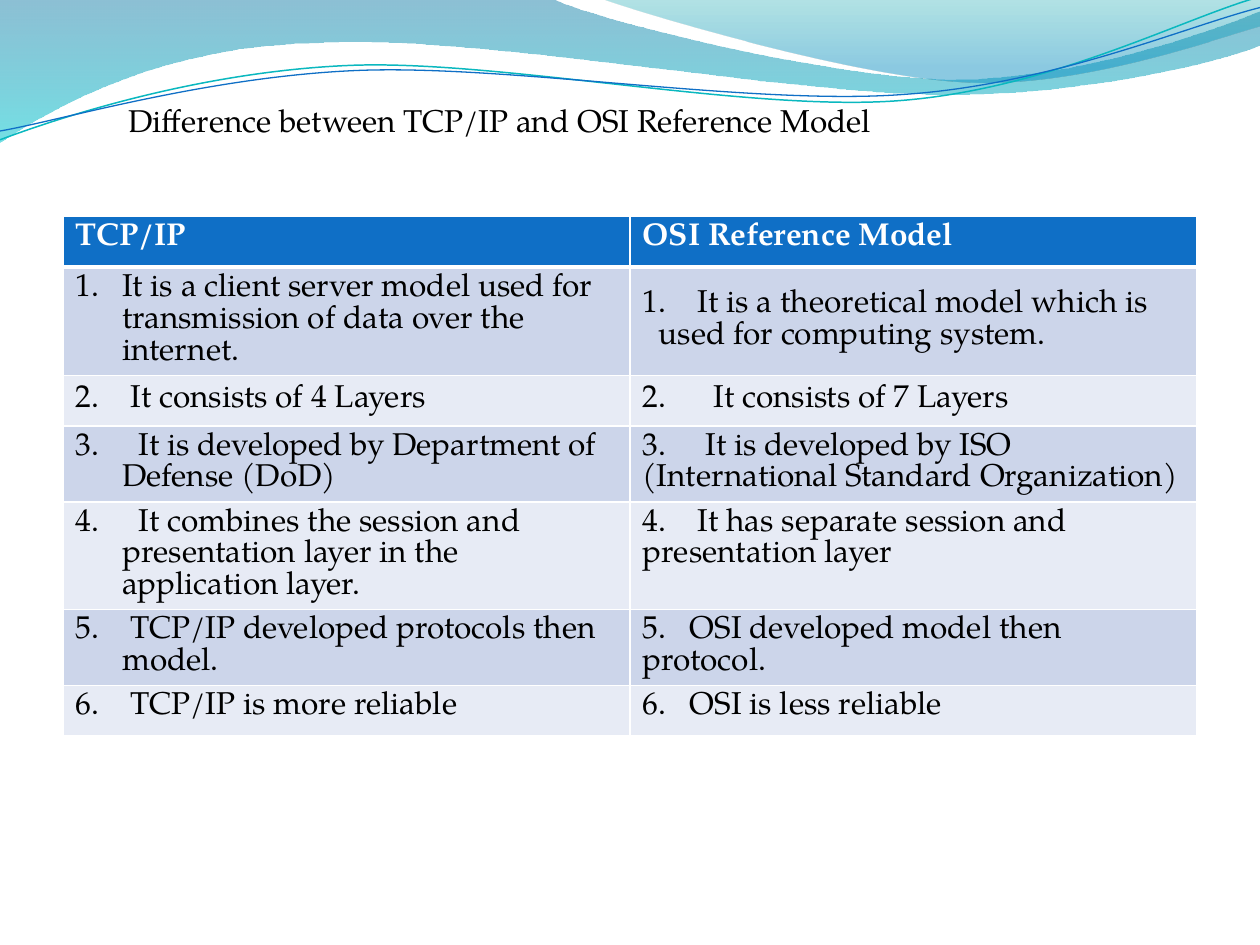
from dataclasses import dataclass

from lxml import etree
from pptx import Presentation
from pptx.dml.color import RGBColor
from pptx.enum import text
from pptx.oxml.ns import qn
from pptx.util import Inches, Pt

FONT = "TeX Gyre Pagella"
BLUE, WHITE, BLACK = "0F6FC6", "FFFFFF", "000000"
BANDS = ("CCD5EA", "E7EBF5")
TOP, MIDDLE = text.MSO_ANCHOR.TOP, text.MSO_ANCHOR.MIDDLE
HANGING = 0.37

Point = tuple[float, float]


@dataclass
class Stop:
    position: float
    color: str
    opacity: int


@dataclass
class Wave:
    """Lists of one point are straight segments, lists of three are Bezier curves."""
    start: Point
    segments: list[list[Point]]
    stops: tuple[Stop, ...] = ()
    line_color: str = ""
    line_width: float = 0


@dataclass
class Entry:
    """A cell's text; gap is the space in points added after its number."""
    words: str
    number: str = ""
    gap: float = 0
    hanging: float = 0
    auto_number: bool = False


@dataclass
class Row:
    height: float
    anchor: text.MSO_ANCHOR
    entries: tuple[Entry, Entry]


WAVES = [
    Wave((0, 0), [[(4.4, 0)],
                  [(4.76, 0.17), (6.64, 0.63), (7.58, 0.63)],
                  [(8.53, 0.63), (9.58, 0.26), (10, 0.09)],
                  [(10, 0.36)],
                  [(9.83, 0.44), (8.7, 0.76), (7.46, 0.75)],
                  [(6.22, 0.75), (3.82, 0.28), (2.57, 0.34)],
                  [(1.29, 0.36), (0.46, 0.83), (0, 1.13)]],
         stops=(Stop(0, "0074A1", 45), Stop(1, "00C6CF", 55))),
    Wave((4.79, 0), [[(5.09, 0.11), (6.82, 0.62), (7.69, 0.65)],
                     [(8.56, 0.69), (9.61, 0.32), (10, 0.21)],
                     [(10, 0)]],
         stops=(Stop(0, "00A1A9", 30), Stop(0.8, "008BBF", 45))),
    Wave((0, 1.11), [[(0.48, 0.93), (1.58, 0.57), (2.77, 0.52)],
                     [(3.95, 0.47), (5.93, 0.89), (7.13, 0.8)],
                     [(8.33, 0.71), (9.38, 0.15), (9.98, -0.02)]],
         line_color="0AB8BF", line_width=0.85),
    Wave((0, 1.04), [[(0.47, 0.96), (1.64, 0.61), (2.83, 0.56)],
                     [(4.03, 0.51), (5.97, 0.84), (7.17, 0.75)],
                     [(8.36, 0.67), (9.41, 0.21), (10, 0.06)]],
         line_color=BLUE, line_width=0.75),
]

ROWS = [
    Row(0.4, TOP, (Entry("TCP/IP"), Entry("OSI Reference Model"))),
    Row(0.86, MIDDLE, (
        Entry("It is a client server model used for transmission of data over the internet.",
              hanging=HANGING, auto_number=True),
        Entry("It is a theoretical model which is used for computing system.", "1.", 13.5, 0.13))),
    Row(0.4, MIDDLE, (Entry("It consists of 4 Layers", "2.", 13.5, HANGING),
                      Entry("It consists of 7 Layers", "2.", 22.5))),
    Row(0.6, MIDDLE, (
        Entry("It is developed by Department of Defense (DoD)", "3.", 18, HANGING),
        Entry("It is developed by ISO (International Standard Organization)", "3.", 18))),
    Row(0.85, TOP, (
        Entry("It combines the session and presentation layer in the application layer.",
              "4.", 18, HANGING),
        Entry("It has separate session and presentation layer", "4.", 13.5))),
    Row(0.6, TOP, (Entry("TCP/IP developed protocols then model.", "5.", 13.5, HANGING),
                   Entry("OSI developed model then protocol.", "5.", 9))),
    Row(0.4, TOP, (Entry("TCP/IP is more reliable", "6.", 13.5, HANGING),
                   Entry("OSI is less reliable", "6.", 9))),
]


def rgb(color: str) -> RGBColor:
    return RGBColor.from_string(color)


def write(paragraph, words: str, *, size: float = 18, color: str = BLACK,
          bold: bool = False, spacing: float = 0) -> None:
    paragraph.alignment = text.PP_ALIGN.LEFT
    run = paragraph.add_run()
    run.text = words
    run.font.name, run.font.size, run.font.bold = FONT, Pt(size), bold
    run.font.color.rgb = rgb(color)
    if spacing:
        run._r.get_or_add_rPr().set("spc", str(round(spacing * 100)))


def bend_segments(shape, wave: Wave) -> None:
    """Replace the straight segments that should be Bezier curves."""
    lines = shape._element.xpath(".//a:lnTo")
    for line, segment in zip(lines, wave.segments):
        if len(segment) == 1:
            continue
        curve = etree.Element(qn("a:cubicBezTo"))
        for x, y in segment:
            etree.SubElement(curve, qn("a:pt"), x=str(Inches(x) - shape.left),
                             y=str(Inches(y) - shape.top))
        line.getparent().replace(line, curve)


def draw_wave(slide, wave: Wave) -> None:
    builder = slide.shapes.build_freeform(*map(Inches, wave.start))
    ends = [tuple(map(Inches, segment[-1])) for segment in wave.segments]
    builder.add_line_segments(ends, close=bool(wave.stops))
    shape = builder.convert_to_shape()
    bend_segments(shape, wave)
    shape.shadow.inherit = False
    if not wave.stops:
        shape.fill.background()
        shape.line.color.rgb = rgb(wave.line_color)
        shape.line.width = Pt(wave.line_width)
        return
    shape.line.fill.background()
    shape.fill.gradient()
    shape.fill.gradient_angle = 270
    for target, stop in zip(shape.fill.gradient_stops, wave.stops):
        target.position = stop.position
        target.color.rgb = rgb(stop.color)
    for element, stop in zip(shape._element.xpath(".//a:gradFill//a:srgbClr"), wave.stops):
        etree.SubElement(element, qn("a:alpha"), val=str(stop.opacity * 1000))


def set_border(cell, side: str, width: float) -> None:
    line = etree.SubElement(cell._tc.get_or_add_tcPr(), qn(f"a:ln{side}"), w=str(Pt(width)))
    fill = etree.SubElement(line, qn("a:solidFill"))
    etree.SubElement(fill, qn("a:srgbClr"), val=WHITE)


def write_entry(paragraph, entry: Entry, color: str, bold: bool) -> None:
    properties = paragraph._p.get_or_add_pPr()
    properties.set("marL", str(Inches(entry.hanging)))
    properties.set("indent", str(-Inches(entry.hanging)))
    if entry.auto_number:
        etree.SubElement(properties, qn("a:buFont"), typeface="+mj-lt")
        etree.SubElement(properties, qn("a:buAutoNum"), type="arabicPeriod")
    if entry.number:
        write(paragraph, entry.number, color=color, bold=bold)
        write(paragraph, " ", color=color, bold=bold, spacing=entry.gap)
    write(paragraph, entry.words, color=color, bold=bold)


def draw_table(slide, rows: list[Row]) -> None:
    height = sum(row.height for row in rows)
    table = slide.shapes.add_table(
        len(rows), 2, Inches(0.5), Inches(1.72), Inches(9), Inches(height)).table
    for index, row in enumerate(rows):
        header = index == 0
        table.rows[index].height = Inches(row.height)
        for cell, entry in zip(table.rows[index].cells, row.entries):
            for side in "LRTB":
                thick = (side == "B" and header) or (side == "T" and index == 1)
                set_border(cell, side, 3 if thick else 1)
            cell.fill.solid()
            cell.fill.fore_color.rgb = rgb(BLUE if header else BANDS[(index - 1) % 2])
            cell.vertical_anchor = row.anchor
            write_entry(cell.text_frame.paragraphs[0], entry,
                        WHITE if header else BLACK, header)


def main() -> None:
    presentation = Presentation()
    presentation.slide_width, presentation.slide_height = Inches(10), Inches(7.5)
    slide = presentation.slides.add_slide(presentation.slide_layouts[5])
    for wave in WAVES:
        draw_wave(slide, wave)
    draw_table(slide, ROWS)

    title = slide.shapes.title
    title.left, title.top = Inches(0.92), Inches(0.75)
    title.width, title.height = Inches(6.83), Inches(0.4)
    title.text_frame.auto_size = text.MSO_AUTO_SIZE.NONE
    title.text_frame.vertical_anchor = TOP
    write(title.text_frame.paragraphs[0], "Difference between TCP/IP and OSI Reference Model")
    presentation.save("out.pptx")


if __name__ == "__main__":
    main()
